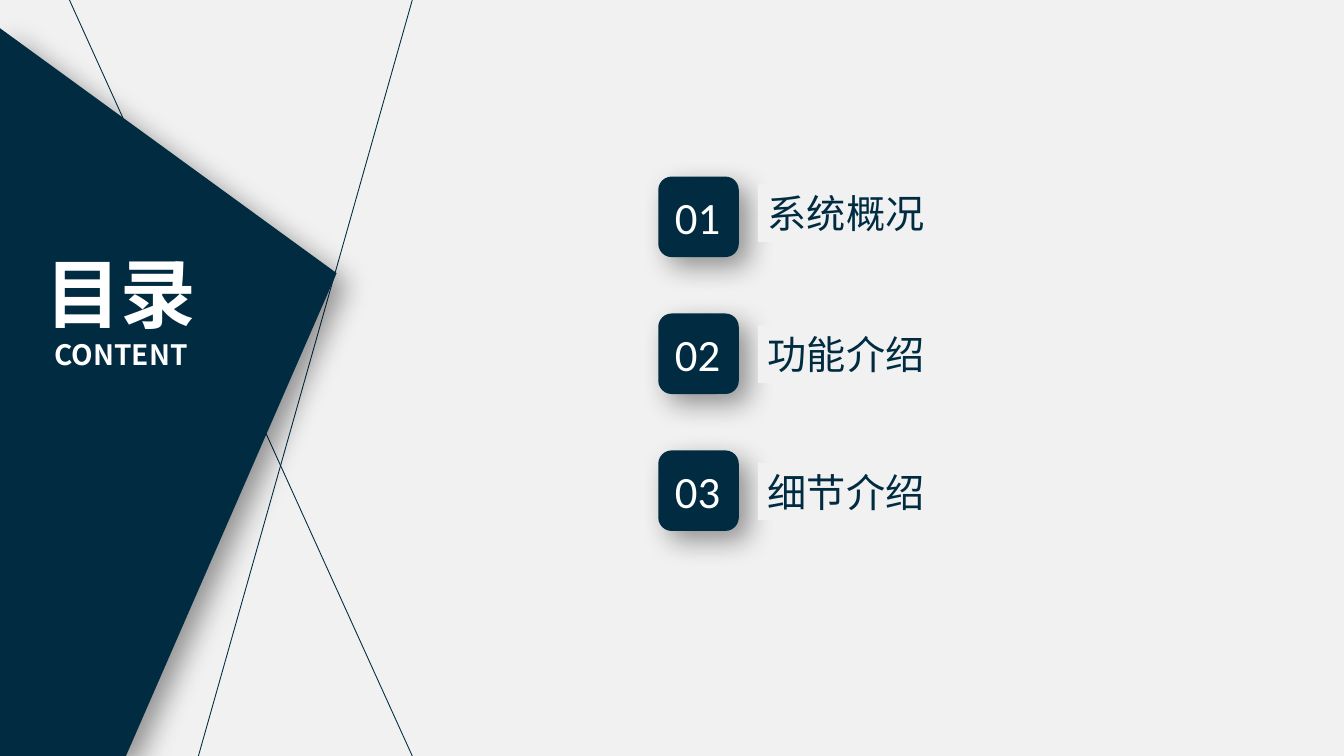
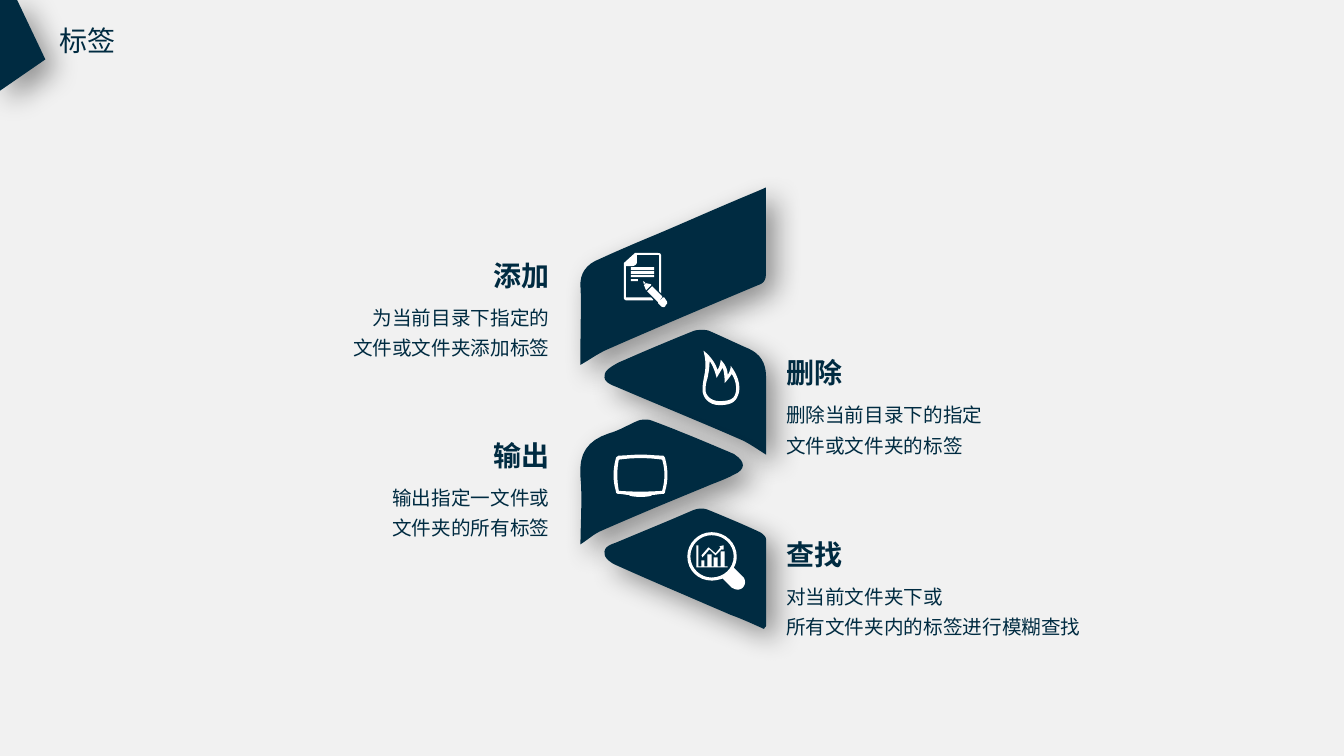
from dataclasses import dataclass, replace

from lxml.etree import SubElement
from pptx import Presentation
from pptx.dml.color import RGBColor
from pptx.enum.shapes import MSO_CONNECTOR, MSO_SHAPE
from pptx.enum.text import MSO_AUTO_SIZE, PP_ALIGN
from pptx.oxml.ns import qn
from pptx.presentation import Presentation as Deck
from pptx.shapes.base import BaseShape
from pptx.slide import Slide
from pptx.text.text import TextFrame
from pptx.util import Cm, Pt

Point = tuple[float, float]


@dataclass(frozen=True)
class Theme:
    """Colours, fonts and type sizes shared by both slides."""

    navy: str = "002B41"
    paper: str = "F1F1F1"
    white: str = "FFFFFF"
    black: str = "000000"
    han_font: str = "Noto Sans CJK SC"
    number_font: str = "Calibri"
    cover_size: int = 54
    number_size: int = 32
    topic_size: int = 28
    heading_size: int = 20
    body_size: int = 14
    body_spacing: float = 1.3
    hairline: float = 0.63


THEME = Theme()


@dataclass(frozen=True)
class TextStyle:
    """Look of one kind of text."""

    size: int
    color: str = THEME.navy
    font: str = THEME.han_font
    bold: bool = False
    align: PP_ALIGN = PP_ALIGN.LEFT
    spacing: float | None = None


@dataclass(frozen=True)
class Box:
    """Position and size in centimetres."""

    left: float
    top: float
    width: float
    height: float

    def lengths(self) -> tuple[Cm, Cm, Cm, Cm]:
        """Return the four measures as slide lengths."""
        return Cm(self.left), Cm(self.top), Cm(self.width), Cm(self.height)


@dataclass(frozen=True)
class Topic:
    """One numbered entry of the contents."""

    number: str
    title: str
    title_top: float


@dataclass(frozen=True)
class Feature:
    """One blade of the ribbon with its icon and explanation."""

    heading: str
    lines: tuple[str, str]
    top: float
    on_left: bool
    blade: str
    icon: str


COVER = TextStyle(THEME.cover_size, THEME.white, bold=True, align=PP_ALIGN.CENTER)
COVER_SUBTITLE = replace(COVER, size=THEME.heading_size)
NUMBER = TextStyle(THEME.number_size, THEME.white, THEME.number_font)
TOPIC = TextStyle(THEME.topic_size)
PAGE_TITLE = TextStyle(THEME.heading_size)
HEADING = replace(PAGE_TITLE, bold=True)
BODY = TextStyle(THEME.body_size, spacing=THEME.body_spacing)

OUTLINE_UNIT = Cm(2.54) / 100
CURVE_STEPS = 8

COVER_WEDGE = "M 125 750 L 0 750 0 28 334 271"
CORNER_WEDGE = "M 17 0 L 0 0 0 90 45 59"

TOPICS = (
    Topic("01", "系统概况", 4.65),
    Topic("02", "功能介绍", 8.2),
    Topic("03", "细节介绍", 11.66),
)

DOCUMENT_ICON = """
M 649 265 L 626 265 626 268 649 268 M 649 269 L 626 269 626 272 649 272
M 649 273 L 626 273 626 275 649 275 M 633 277 L 626 277 626 279 633 279
M 653 301 L 656 304 C 658 305 659 305 660 304 L 661 302
C 662 302 662 301 662 300 662 300 662 299 661 298 L 659 295 658 295 653 300
M 639 282 L 640 281 640 280 638 279 M 641 288 L 646 283 646 282 641 281 639 283
M 656 296 L 657 295 657 294 654 291 647 284 642 289 649 296 653 300
M 621 264 L 627 264 C 630 264 632 262 632 260 L 632 253 653 253
C 654 253 654 253 654 254 L 654 289 656 291 656 254
C 656 252 655 251 653 251 L 630 251 619 261 619 295
C 619 297 620 298 622 298 L 648 298 648 297 646 295 622 295
C 621 295 621 295 621 295"""

FLAME_ICON = """
M 730 389 C 729 394 727 398 714 398 705 398 700 392 700 387
700 382 701 378 702 375 703 370 704 365 704 358 709 365 711 375 711 375
711 375 715 368 717 365 718 367 719 373 719 380 719 380 723 376 726 371
730 377 731 384 730 389
M 725 363 C 725 368 722 372 722 372 722 363 715 357 715 357
715 357 715 362 712 367 708 355 698 348 698 348 703 367 697 373 697 387
697 394 703 402 714 402 729 402 731 396 733 390 735 382 732 372 725 363"""

SCREEN_ICON = """
M 657 487 C 643 488 628 488 614 487 612 476 612 466 614 456
628 454 643 454 657 456 660 466 660 476 657 487
M 660 455 C 660 454 659 453 658 452 650 452 643 451 636 451
628 451 621 452 614 452 612 453 611 454 611 455 608 466 608 477 611 487
611 489 612 490 614 490 617 490 621 491 624 491 624 492 629 493 636 493
642 493 647 492 647 491 651 491 654 490 658 490 659 490 660 489 660 487
663 477 663 466 660 455"""

MAGNIFIER_ICON = """
M 704 545 L 697 553 696 551 703 543 710 549 715 543
C 714 543 714 542 714 542 L 718 541 718 545 C 718 545 717 546 717 545
L 716 545 710 551
M 737 583 C 736 584 734 585 732 585 730 585 728 584 726 583 L 717 574
C 714 575 710 576 706 576 693 576 682 566 682 552 682 539 693 528 706 528
720 528 731 539 731 552 731 556 730 560 728 563 L 737 572
C 740 575 740 580 737 583
M 706 573 C 718 573 728 564 728 552 728 540 718 531 706 531
695 531 685 540 685 552 685 564 695 573 706 573
M 691 541 L 693 541 693 562 722 562 722 563 691 563
M 696 556 L 699 556 699 562 696 562 M 702 550 L 706 550 706 562 702 562
M 708 553 L 712 553 712 562 708 562 M 715 547 L 719 547 719 562 715 562"""

ADD_BLADE = """
M 760 186 L 760 271 C 760 278 758 281 752 283 702 304 652 325 602 347
593 351 585 357 576 362 576 355 576 346 576 337 576 320 577 302 576 285
575 271 582 262 595 257 608 251 622 245 636 239 675 223 712 206 751 190
753 189 756 188 760 186"""

DELETE_BLADE = """
M 760 451 C 752 446 745 441 737 437 696 419 654 402 612 384
607 382 598 379 600 372 600 367 608 363 613 360 638 349 664 338 689 328
694 327 699 327 703 328 717 334 729 340 743 346 754 351 760 360 760 373"""

EXPORT_BLADE = """
M 576 540 C 576 518 578 495 576 473 574 450 583 437 604 430
615 427 624 421 634 417 638 416 643 416 646 417 673 427 699 438 725 449
727 450 728 450 729 451 740 458 740 466 728 471 719 476 709 479 700 483
666 497 632 511 598 526 590 529 584 535 576 540"""

SEARCH_BLADE = """
M 758 624 C 747 619 736 614 725 610 688 594 650 578 612 561
607 559 600 554 600 550 598 542 607 540 612 538 638 527 663 517 688 506
694 504 698 504 703 506 720 513 737 520 754 528 756 529 760 532 760 535
L 760 621 C 760 622 759 622 758 624"""

FEATURES = (
    Feature("添加", ("为当前目录下指定的", "文件或文件夹添加标签"), 6.38, True, ADD_BLADE, DOCUMENT_ICON),
    Feature("删除", ("删除当前目录下的指定", "文件或文件夹的标签"), 8.84, False, DELETE_BLADE, FLAME_ICON),
    Feature("输出", ("输出指定一文件或", "文件夹的所有标签"), 10.92, True, EXPORT_BLADE, SCREEN_ICON),
    Feature("查找", ("对当前文件夹下或", "所有文件夹内的标签进行模糊查找"), 13.41, False, SEARCH_BLADE, MAGNIFIER_ICON),
)


def add_page(deck: Deck) -> Slide:
    """Add a blank page with the shared background."""
    page = deck.slides.add_slide(deck.slide_layouts[6])
    page.background.fill.solid()
    page.background.fill.fore_color.rgb = RGBColor.from_string(THEME.paper)
    return page


def paint(shape: BaseShape, color: str, raised: bool = False) -> None:
    """Fill a shape without outline and optionally lift it with a soft shadow."""
    shape.fill.solid()
    shape.fill.fore_color.rgb = RGBColor.from_string(color)
    shape.line.fill.background()
    shape.shadow.inherit = False
    if raised:
        effects = shape.element.spPr.find(qn("a:effectLst"))
        shadow = SubElement(effects, qn("a:outerShdw"), blurRad=str(Pt(20)), dist=str(Pt(10)),
                            dir=str(45 * 60000), algn="tl", rotWithShape="0")
        tone = SubElement(shadow, qn("a:srgbClr"), val=THEME.black)
        SubElement(tone, qn("a:alpha"), val="40000")


def write(frame: TextFrame, lines: tuple[str, ...], *styles: TextStyle, wrap: bool = True) -> None:
    """Write one paragraph per line, the last style serving all remaining lines."""
    frame.text = "\n".join(lines)
    frame.word_wrap = wrap
    frame.auto_size = MSO_AUTO_SIZE.SHAPE_TO_FIT_TEXT
    for index, para in enumerate(frame.paragraphs):
        style = styles[min(index, len(styles) - 1)]
        para.alignment = style.align
        para.line_spacing = style.spacing
        for span in para.runs:
            span.font.size = Pt(style.size)
            span.font.bold = style.bold
            span.font.color.rgb = RGBColor.from_string(style.color)
            span.font.name = style.font
            SubElement(span.font._element, qn("a:ea"), typeface=style.font)


def add_text(page: Slide, box: Box, lines: tuple[str, ...], *styles: TextStyle, wrap: bool = True) -> None:
    """Add a text box."""
    write(page.shapes.add_textbox(*box.lengths()).text_frame, lines, *styles, wrap=wrap)


def curve(start: Point, first: Point, second: Point, end: Point) -> list[Point]:
    """Return points along a cubic curve, leaving out its start."""
    points = []
    for step in range(1, CURVE_STEPS + 1):
        t = step / CURVE_STEPS
        weights = ((1 - t) ** 3, 3 * t * (1 - t) ** 2, 3 * t * t * (1 - t), t ** 3)
        corners = (start, first, second, end)
        points.append(tuple(sum(w * corner[axis] for w, corner in zip(weights, corners)) for axis in (0, 1)))
    return points


def trace(outline: str) -> list[list[Point]]:
    """Turn an outline of M, L and C strokes into contours in slide units."""
    contours = []
    for contour in outline.split("M")[1:]:
        points: list[Point] = []
        for stroke in contour.replace("C", "|C").replace("L", "|L").split("|"):
            numbers = [int(number) for number in stroke.strip("CL ").split()]
            pairs = list(zip(numbers[::2], numbers[1::2]))
            if stroke.startswith("C"):
                for first, second, end in zip(pairs[::3], pairs[1::3], pairs[2::3]):
                    points += curve(points[-1], first, second, end)
            else:
                points += pairs
        contours.append([(x * OUTLINE_UNIT, y * OUTLINE_UNIT) for x, y in points])
    return contours


def add_outline(page: Slide, outline: str, color: str, raised: bool = False) -> None:
    """Draw an outline as one filled freeform."""
    contours = trace(outline)
    builder = page.shapes.build_freeform(*contours[0][0])
    for index, points in enumerate(contours):
        if index:
            builder.move_to(*points[0])
        builder.add_line_segments(points[1:], close=True)
    paint(builder.convert_to_shape(), color, raised)


def add_hairline(page: Slide, start: Point, end: Point) -> None:
    """Draw a thin line between two points given in centimetres."""
    line = page.shapes.add_connector(MSO_CONNECTOR.STRAIGHT, *map(Cm, start + end))
    line.line.color.rgb = RGBColor.from_string(THEME.navy)
    line.line.width = Pt(THEME.hairline)
    SubElement(line._element.spPr, qn("a:effectLst"))


def add_topic(page: Slide, topic: Topic, top: float) -> None:
    """Draw a numbered badge and its title."""
    badge = page.shapes.add_shape(MSO_SHAPE.ROUNDED_RECTANGLE, *Box(16.59, top, 2.03, 2.03).lengths())
    paint(badge, THEME.navy, raised=True)
    add_text(page, Box(16.76, top + 0.21, 1.68, 1.63), (topic.number,), NUMBER, wrap=False)
    title = page.shapes.add_shape(MSO_SHAPE.RECTANGLE, *Box(19.1, topic.title_top, 8.05, 1.45).lengths())
    paint(title, THEME.paper)
    write(title.text_frame, (topic.title,), TOPIC)


def add_feature_text(page: Slide, feature: Feature) -> None:
    """Write a heading and explanation beside the ribbon."""
    align = PP_ALIGN.RIGHT if feature.on_left else PP_ALIGN.LEFT
    blocks = (((feature.heading,), HEADING, 0, 3.71, 1.12), (feature.lines, BODY, 1.02, 10.8, 1.8))
    for lines, style, offset, width, height in blocks:
        left = 14.1 - width if feature.on_left else 19.56
        add_text(page, Box(left, feature.top + offset, width, height), lines, replace(style, align=align))


def build_contents(deck: Deck) -> None:
    """Build the contents page."""
    page = add_page(deck)
    add_hairline(page, (10.39, 0), (5, 19.05))
    add_hairline(page, (10.39, 19.05), (1.75, 0))
    add_outline(page, COVER_WEDGE, THEME.navy, raised=True)
    add_text(page, Box(0.61, 6.1, 4.88, 3.43), ("目录", "CONTENT"), COVER, COVER_SUBTITLE)
    for index, topic in enumerate(TOPICS):
        add_topic(page, topic, 4.45 + 3.45 * index)


def build_features(deck: Deck) -> None:
    """Build the page about tags."""
    page = add_page(deck)
    add_text(page, Box(1.24, 0.48, 1.93, 1.12), ("标签",), PAGE_TITLE, wrap=False)
    add_outline(page, CORNER_WEDGE, THEME.navy, raised=True)
    for feature in FEATURES:
        add_outline(page, feature.blade, THEME.navy, raised=True)
    for feature in FEATURES:
        add_feature_text(page, feature)
        add_outline(page, feature.icon, THEME.white)


def main() -> None:
    """Build and save the deck."""
    deck = Presentation()
    deck.slide_width, deck.slide_height = Cm(33.87), Cm(19.05)
    build_contents(deck)
    build_features(deck)
    deck.save("out.pptx")


main()
